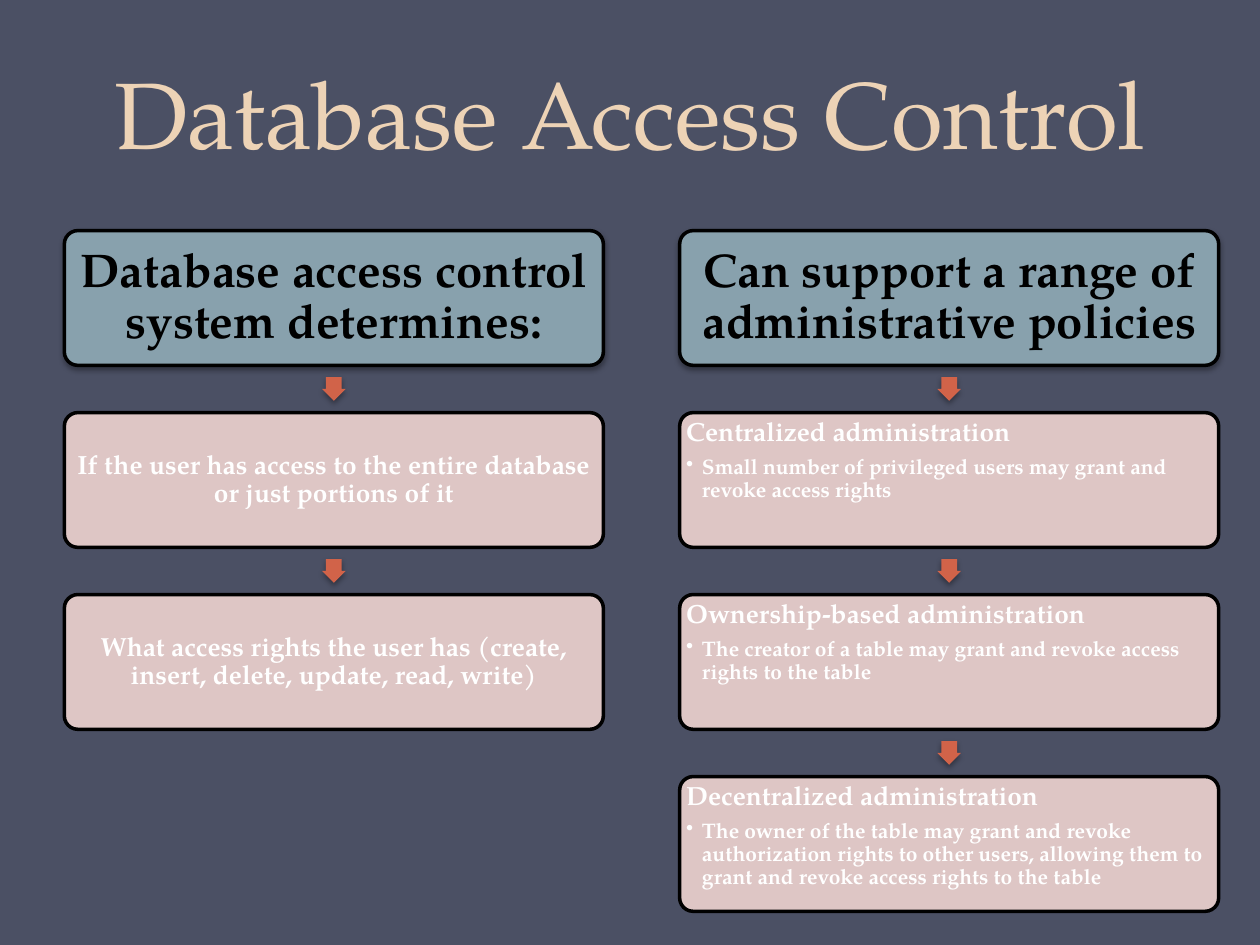
from lxml import etree
from pptx import Presentation
from pptx.dml.color import RGBColor
from pptx.enum import shapes, text
from pptx.oxml import ns
from pptx.util import Pt

FONT = "TeX Gyre Pagella"
BOX_W, BOX_H, GAP, ARROW = 308, 77, 27, 13.5
TOP = 131.8

COLUMNS = [
    (36.8, "Database access control system determines:", [
        ["If the user has access to the entire database or just portions of it"],
        ["What access rights the user has (create, insert, delete, update, read, write)"],
    ]),
    (388.4, "Can support a range of administrative policies", [
        ["Centralized administration",
         "Small number of privileged users may grant and revoke access rights"],
        ["Ownership-based administration",
         "The creator of a table may grant and revoke access rights to the table"],
        ["Decentralized administration",
         "The owner of the table may grant and revoke authorization rights to other users, "
         "allowing them to grant and revoke access rights to the table"],
    ]),
]


def rgb(value):
    return RGBColor.from_string(value)


def add_xml(parent, tag, **attrs):
    """Append a DrawingML child with the given attributes and return it."""
    attrs = {k: str(v) for k, v in attrs.items()}
    return etree.SubElement(parent, ns.qn(tag), attrs)


prs = Presentation()
prs.slide_width, prs.slide_height = Pt(720), Pt(540)
s = prs.slides.add_slide(prs.slide_layouts[5])
s.background.fill.solid()
s.background.fill.fore_color.rgb = rgb("4B5064")

title = s.shapes.title
title.left, title.top, title.width, title.height = Pt(36), Pt(0), Pt(648), Pt(100)
tf = title.text_frame
tf.vertical_anchor = text.MSO_ANCHOR.BOTTOM
p = tf.paragraphs[0]
p.alignment = text.PP_ALIGN.CENTER
p.line_spacing = Pt(58)
r = p.add_run()
r.text = "Database Access Control"
r.font.name, r.font.size = FONT, Pt(54)
r.font.color.rgb = rgb("EDD3B6")

for left, header, details in COLUMNS:
    for row, lines in enumerate([[header]] + details):
        is_header = row == 0
        top = TOP + row * (BOX_H + GAP)
        shadowed = []

        if not is_header:
            arrow = s.shapes.add_shape(
                shapes.MSO_SHAPE.DOWN_ARROW,
                Pt(left + (BOX_W - ARROW) / 2), Pt(top - (GAP + ARROW) / 2),
                Pt(ARROW), Pt(ARROW))
            arrow.adjustments[0], arrow.adjustments[1] = 0.667, 0.5
            arrow.fill.solid()
            arrow.fill.fore_color.rgb = rgb("D16349")
            arrow.line.fill.background()
            shadowed.append(arrow)

        box = s.shapes.add_shape(shapes.MSO_SHAPE.ROUNDED_RECTANGLE,
                                 Pt(left), Pt(top), Pt(BOX_W), Pt(BOX_H))
        box.adjustments[0] = 0.1
        box.shadow.inherit = False
        box.fill.solid()
        box.fill.fore_color.rgb = rgb("88A1AD" if is_header else "EED3D0")
        box.line.color.rgb = rgb("000000")
        box.line.width = Pt(2)
        if is_header:
            shadowed.append(box)
        else:
            color = box.fill._xPr.find(ns.qn("a:solidFill"))[0]
            add_xml(color, "a:alpha", val=90000)

        for sp in shadowed:
            sp.shadow.inherit = False
            effects = sp._element.spPr.find(ns.qn("a:effectLst"))
            shadow = add_xml(effects, "a:outerShdw", blurRad=Pt(3.1), dist=Pt(1.8),
                             dir=5400000, rotWithShape=0)
            add_xml(add_xml(shadow, "a:srgbClr", val="000000"), "a:alpha", val=35000)

        has_bullet = len(lines) > 1
        tf = box.text_frame
        tf.word_wrap = True
        tf.vertical_anchor = text.MSO_ANCHOR.TOP if has_bullet else text.MSO_ANCHOR.MIDDLE
        inset = Pt(2.7 if is_header else 1.5)
        tf.margin_left = tf.margin_right = tf.margin_top = tf.margin_bottom = inset
        for level, line in enumerate(lines):
            p = tf.paragraphs[0] if level == 0 else tf.add_paragraph()
            p.level = level
            p.alignment = text.PP_ALIGN.LEFT if has_bullet else text.PP_ALIGN.CENTER
            size = 27 if is_header else (15, 12)[level]
            p.line_spacing = 0.9
            p.space_after = Pt(size * (0.35, 0.15)[level])
            if level:
                pPr = p._p.get_or_add_pPr()
                pPr.set("marL", str(Pt(9)))
                pPr.set("indent", str(Pt(-9)))
                add_xml(pPr, "a:buChar", char="•")
            r = p.add_run()
            r.text = line
            r.font.name, r.font.size, r.font.bold = FONT, Pt(size), True
            r.font.color.rgb = rgb("000000" if is_header else "FFFFFF")

prs.save("out.pptx")
